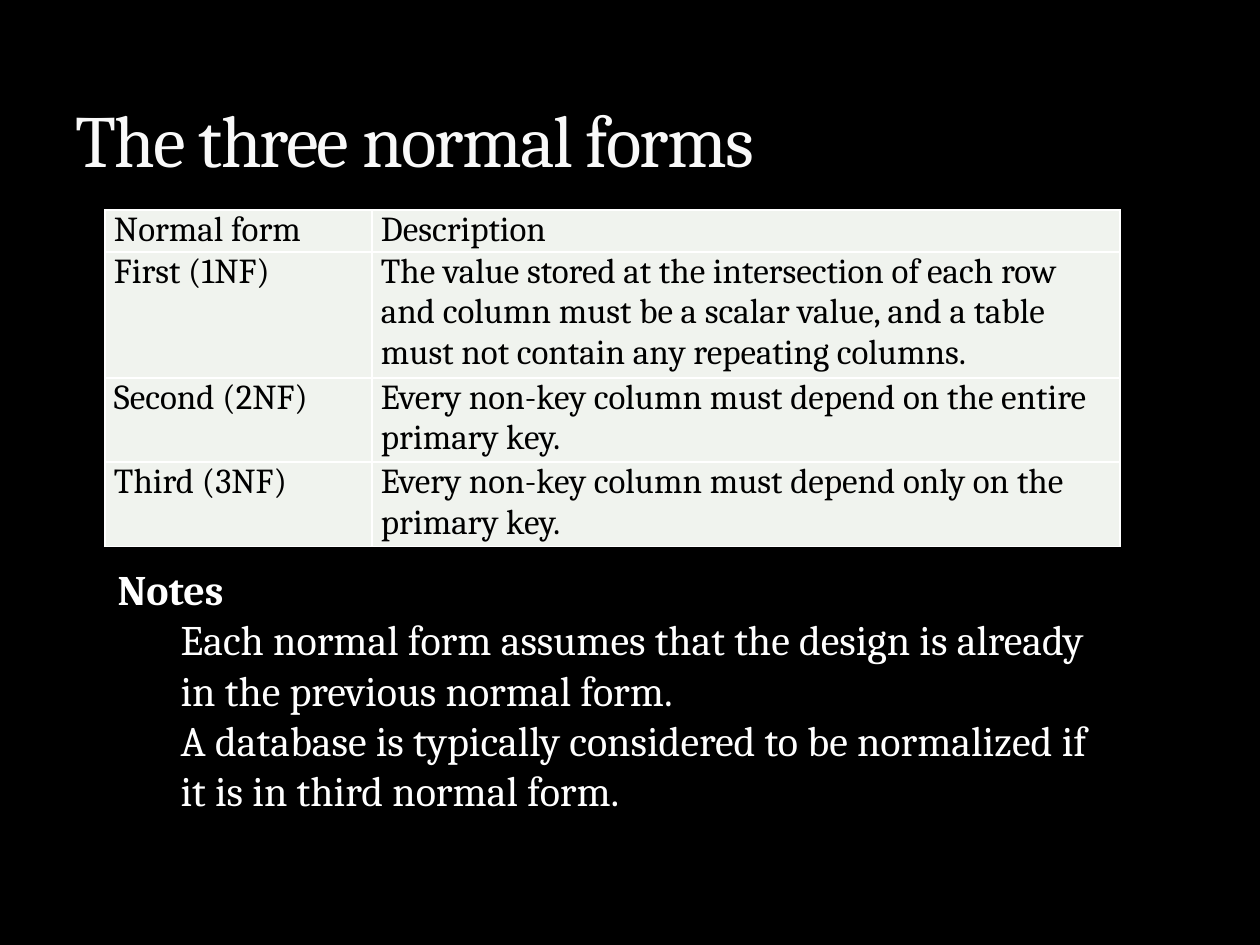
from dataclasses import dataclass

from lxml import etree
from pptx import Presentation
from pptx import util as u
from pptx.dml.color import RGBColor
from pptx.enum import text as t
from pptx.oxml.ns import qn

HEADING = "The three normal forms"
NORMAL_FORMS = [
    ("Normal form", "Description", 1),
    ("First (1NF)", "The value stored at the intersection of each row and column must be "
     "a scalar value, and a table must not contain any repeating columns.", 3),
    ("Second (2NF)", "Every non-key column must depend on the entire primary key.", 2),
    ("Third (3NF)", "Every non-key column must depend only on the primary key.", 2),
]
NOTES = [
    ("Notes", 0),
    ("Each normal form assumes that the design is already in the previous normal form.", 1),
    ("A database is typically considered to be normalized if it is in third normal form.", 1),
]

SLIDE_SIZE = (1260, 945)
HEADING_BOX = (63, 21, 1134, 168)
NOTES_BOX = (105, 557, 1018, 267)
TABLE_ORIGIN = (105, 210)
COLUMN_WIDTHS = (267, 748)
LINE_HEIGHT = 40
CELL_INSET = 9
NOTE_INDENT = 63


@dataclass(frozen=True)
class Theme:
    font: str = "Cambria"
    background: str = "000000"
    heading: str = "F9F9F9"
    heading_outline: str = "3C4422"
    note: str = "FFFFFF"
    cell_text: str = "000000"
    cell_fill: str = "F0F3EE"
    border: str = "FFFFFF"
    heading_size: int = 42
    cell_size: int = 20
    note_size: int = 24


THEME = Theme()


def px(length):
    return u.Emu(round(length * 914400 / 126))


def place(part, box):
    part.left, part.top, part.width, part.height = map(px, box)


def paint(fill, color):
    fill.solid()
    fill.fore_color.rgb = RGBColor.from_string(color)


def add_line(parent, tag, color, points, alpha=100):
    line = etree.SubElement(parent, qn(tag), w=str(int(points * 12700)))
    solid = etree.SubElement(line, qn("a:solidFill"))
    shade = etree.SubElement(solid, qn("a:srgbClr"), val=color)
    if alpha < 100:
        etree.SubElement(shade, qn("a:alpha"), val=str(alpha * 1000))
    return line


def write(paragraph, words, *, size, color, bold=False, before=0, after=0):
    paragraph.alignment = t.PP_ALIGN.LEFT
    paragraph.space_before, paragraph.space_after = u.Pt(before), u.Pt(after)
    run = paragraph.add_run()
    run.text = words
    run.font.name, run.font.size, run.font.bold = THEME.font, u.Pt(size), bold
    paint(run.font.fill, color)
    return run


def add_heading(slide):
    heading = slide.shapes.title
    place(heading, HEADING_BOX)
    heading.text_frame.vertical_anchor = t.MSO_ANCHOR.BOTTOM
    run = write(heading.text_frame.paragraphs[0], HEADING,
                size=THEME.heading_size, color=THEME.heading)
    properties = run.font._element
    properties.set("spc", "-100")
    outline = add_line(properties, "a:ln", THEME.heading_outline, 0.25, alpha=25)
    properties.insert(0, outline)


def add_normal_forms(slide):
    heights = [lines * LINE_HEIGHT for _, _, lines in NORMAL_FORMS]
    box = (*TABLE_ORIGIN, sum(COLUMN_WIDTHS), sum(heights))
    table = slide.shapes.add_table(len(heights), len(COLUMN_WIDTHS), *map(px, box)).table
    table.first_row = table.horz_banding = False
    for column, width in zip(table.columns, COLUMN_WIDTHS):
        column.width = px(width)
    for row, height, (form, description, _) in zip(table.rows, heights, NORMAL_FORMS):
        row.height = px(height)
        for cell, words in zip(row.cells, (form, description)):
            cell.margin_left = cell.margin_right = px(CELL_INSET)
            cell.margin_top = cell.margin_bottom = 0
            for side in "LRTB":
                add_line(cell._tc.get_or_add_tcPr(), f"a:ln{side}", THEME.border, 1)
            paint(cell.fill, THEME.cell_fill)
            write(cell.text_frame.paragraphs[0], words, size=THEME.cell_size,
                  color=THEME.cell_text, before=3, after=3)


def add_notes(slide):
    notes = slide.placeholders[1]
    place(notes, NOTES_BOX)
    frame = notes.text_frame
    frame.auto_size = t.MSO_AUTO_SIZE.SHAPE_TO_FIT_TEXT
    for index, (words, level) in enumerate(NOTES):
        paragraph = frame.add_paragraph() if index else frame.paragraphs[0]
        paragraph.level = level
        write(paragraph, words, size=THEME.note_size, color=THEME.note, bold=level == 0)
        properties = paragraph._p.get_or_add_pPr()
        properties.set("marL", str(px(level * NOTE_INDENT)))
        properties.set("indent", "0")
        etree.SubElement(properties, qn("a:buNone"))


def main():
    deck = Presentation()
    deck.slide_width, deck.slide_height = map(px, SLIDE_SIZE)
    slide = deck.slides.add_slide(deck.slide_layouts[1])
    paint(slide.background.fill, THEME.background)
    add_normal_forms(slide)
    add_heading(slide)
    add_notes(slide)
    deck.save("out.pptx")


if __name__ == "__main__":
    main()
